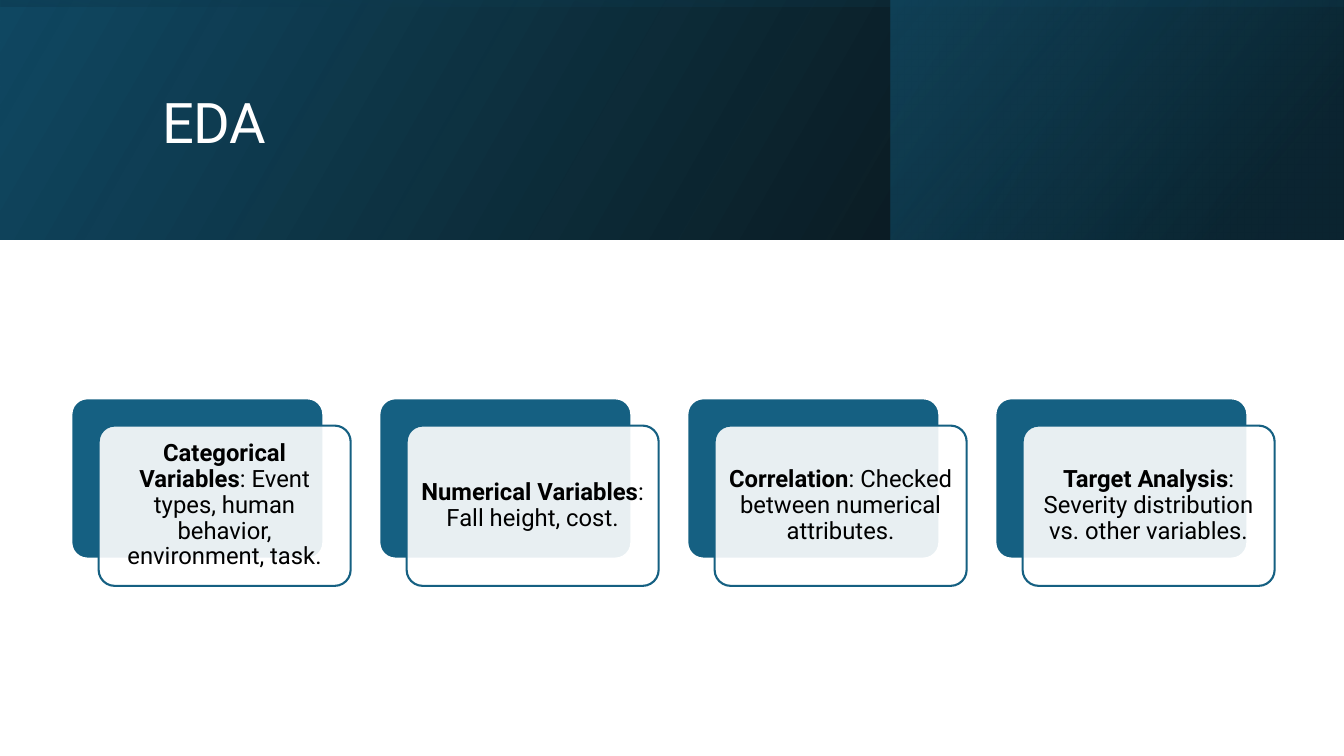
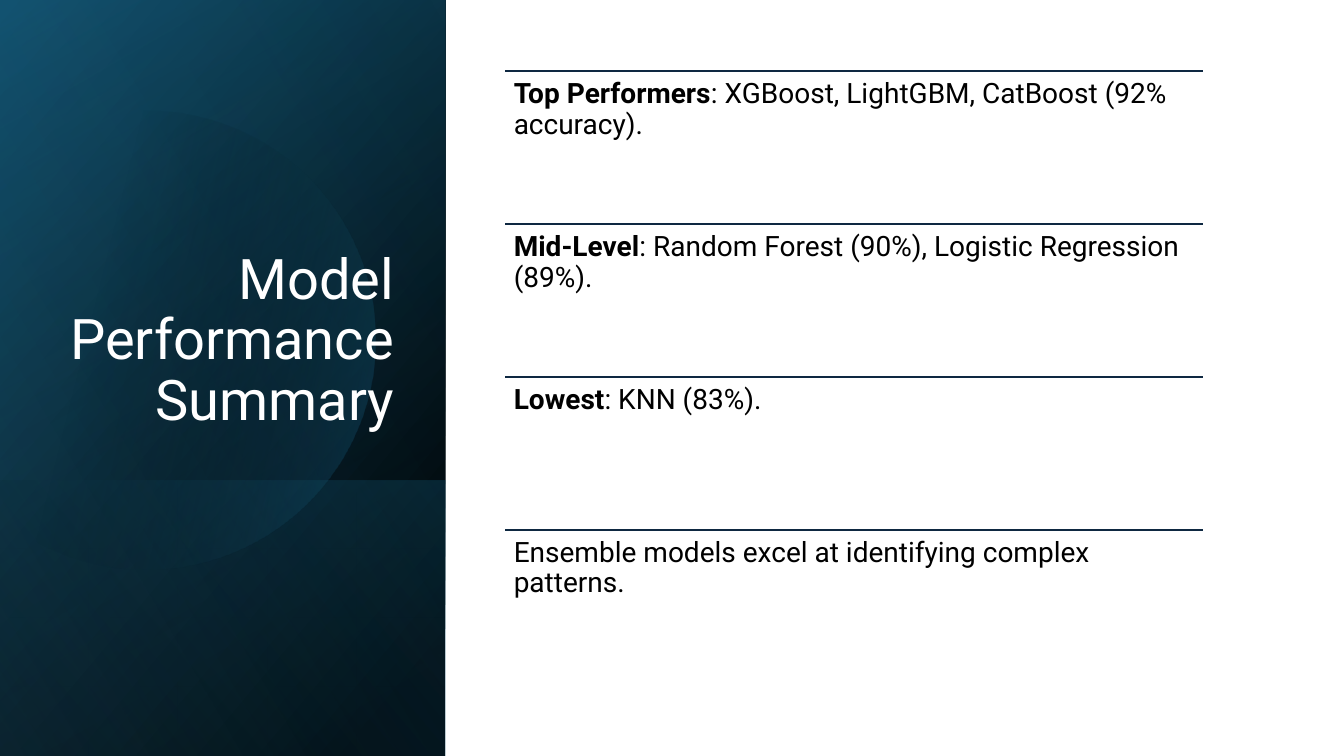
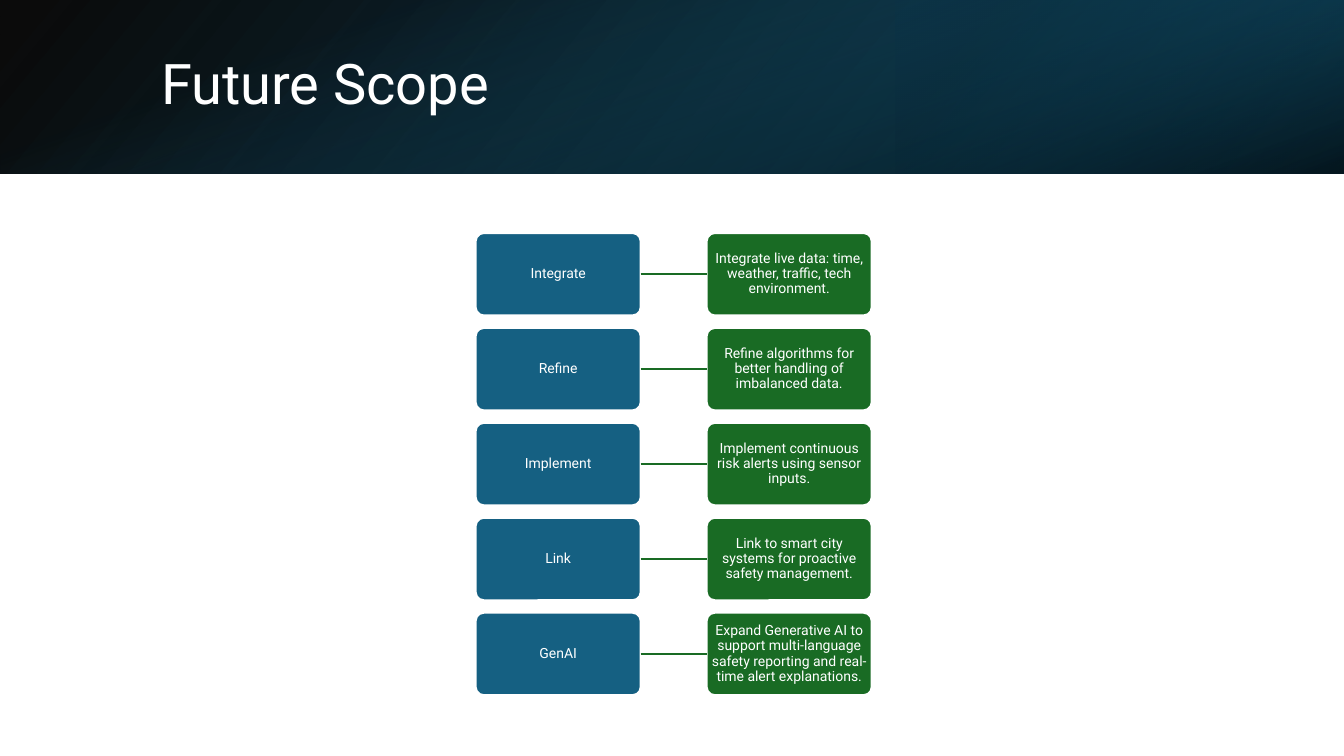
import math

from lxml import etree
from pptx import Presentation
from pptx.dml.color import RGBColor
from pptx.enum.shapes import MSO_CONNECTOR, MSO_SHAPE
from pptx.enum.text import MSO_ANCHOR, PP_ALIGN
from pptx.oxml import parse_xml
from pptx.oxml.ns import nsdecls, qn
from pptx.util import Pt

RECTANGLE = MSO_SHAPE.RECTANGLE
ROUNDED = MSO_SHAPE.ROUNDED_RECTANGLE
STRAIGHT = MSO_CONNECTOR.STRAIGHT
TOP, MIDDLE, BOTTOM = MSO_ANCHOR.TOP, MSO_ANCHOR.MIDDLE, MSO_ANCHOR.BOTTOM
LEFT, CENTER, RIGHT = PP_ALIGN.LEFT, PP_ALIGN.CENTER, PP_ALIGN.RIGHT

WIDTH, HEIGHT = 960, 540
FONT = "Roboto"
COLORS = {
    "black": "000000",
    "white": "FFFFFF",
    "blue": "156082",
    "deep": "104862",
    "dark": "0B3041",
    "sky": "46B1E1",
    "navy": "0E2841",
    "green": "196B24",
}


class Deck:
    """Holds the shared style and the slide being built."""

    def __init__(self):
        self.presentation = Presentation()
        self.presentation.slide_width = Pt(WIDTH)
        self.presentation.slide_height = Pt(HEIGHT)
        self.slide = None

    def color(self, name):
        return RGBColor.from_string(COLORS[name])

    def new_slide(self):
        layout = self.presentation.slide_layouts[6]
        self.slide = self.presentation.slides.add_slide(layout)

    def gradient(self, shape, stops, angle):
        shape.shadow.inherit = False
        shape.line.fill.background()
        shape.fill.gradient()
        stop_xml = "".join(
            f'<a:gs pos="{position * 1000}"><a:srgbClr val="{COLORS[name]}">'
            f'<a:alpha val="{opacity * 1000}"/></a:srgbClr></a:gs>'
            for position, name, opacity in stops
        )
        fill = parse_xml(
            f'<a:gradFill {nsdecls("a")} rotWithShape="1"><a:gsLst>{stop_xml}</a:gsLst>'
            f'<a:lin ang="{angle * 60000}" scaled="0"/></a:gradFill>'
        )
        properties = shape._element.spPr
        properties.replace(properties.find(qn("a:gradFill")), fill)

    def band(self, left, top, width, height, stops, angle, rotation=0, flip=True):
        if rotation % 180:
            left, top = left + (width - height) / 2, top + (height - width) / 2
            width, height = height, width
        shape = self.slide.shapes.add_shape(
            RECTANGLE, Pt(left), Pt(top), Pt(width), Pt(height)
        )
        shape.rotation = rotation
        if flip:
            shape._element.spPr.xfrm.set("flipH", "1")
        self.gradient(shape, stops, angle)

    def cut_disc(self, center_x, center_y, radius, stops, angle):
        limit = math.acos(-center_x / radius)
        steps = 90
        angles = [limit * (2 * step / steps - 1) for step in range(steps + 1)]
        points = [
            (Pt(center_x + radius * math.cos(turn)), Pt(center_y + radius * math.sin(turn)))
            for turn in angles
        ]
        builder = self.slide.shapes.build_freeform(*points[0])
        builder.add_line_segments(points[1:], close=True)
        self.gradient(builder.convert_to_shape(), stops, angle)

    def label(self, shape, lead, rest, size, color, align, anchor, insets):
        frame = shape.text_frame
        frame.word_wrap = True
        frame.vertical_anchor = anchor
        frame.margin_left = frame.margin_right = Pt(insets[0])
        frame.margin_top = frame.margin_bottom = Pt(insets[1])
        paragraph = frame.paragraphs[0]
        paragraph.alignment = align
        paragraph.line_spacing = 0.9
        for text, bold in ((lead, True), (rest, False)):
            if text:
                run = paragraph.add_run()
                run.text = text
                run.font.name = FONT
                run.font.size = Pt(size)
                run.font.bold = bold
                run.font.color.rgb = self.color(color)

    def text(self, left, top, width, height, lead, rest, size, color="black",
             align=LEFT, anchor=TOP, insets=(6, 6)):
        box = self.slide.shapes.add_textbox(Pt(left), Pt(top), Pt(width), Pt(height))
        self.label(box, lead, rest, size, color, align, anchor, insets)

    def title(self, left, top, width, height, text, align=LEFT, anchor=MIDDLE):
        self.text(left, top, width, height, "", text, 40, "white", align, anchor, (7.2, 3.6))

    def box(self, left, top, width, height, fill, line="white", opacity=100):
        shape = self.slide.shapes.add_shape(
            ROUNDED, Pt(left), Pt(top), Pt(width), Pt(height)
        )
        shape.adjustments[0] = 0.1
        shape.shadow.inherit = False
        shape.fill.solid()
        shape.fill.fore_color.rgb = self.color(fill)
        shape.line.color.rgb = self.color(line)
        shape.line.width = Pt(1.5)
        if opacity < 100:
            solid = shape._element.spPr.find(qn("a:solidFill"))
            alpha = etree.SubElement(solid[0], qn("a:alpha"))
            alpha.set("val", str(opacity * 1000))
        return shape

    def line(self, start, end, color):
        connector = self.slide.shapes.add_connector(
            STRAIGHT, Pt(start[0]), Pt(start[1]), Pt(end[0]), Pt(end[1])
        )
        connector.line.color.rgb = self.color(color)
        connector.line.width = Pt(1.5)
        etree.SubElement(connector._element.spPr, qn("a:effectLst"))
        return connector


def build_eda(deck):
    band_height = 171
    deck.new_slide()
    deck.band(0, 0, WIDTH, band_height, [(0, "black", 96), (100, "deep", 100)], 330)
    deck.band(636.5, 0, 323, band_height, [(19, "dark", 68), (100, "blue", 48)], 320)
    deck.band(0, 0, WIDTH, band_height, [(23, "deep", 16), (99, "black", 45)], 350, 270)
    deck.title(108.7, 27.4, 765, 124, "EDA")
    cards = [
        ("Categorical Variables", ": Event types, human behavior, environment, task."),
        ("Numerical Variables", ": Fall height, cost."),
        ("Correlation", ": Checked between numerical attributes."),
        ("Target Analysis", ": Severity distribution vs. other variables."),
    ]
    top, width, height, offset = 284.5, 180, 114.5, 19.5
    for index, (lead, rest) in enumerate(cards):
        left = 51 + 220 * index
        deck.box(left, top, width, height, "blue")
        card = deck.box(left + offset, top + offset, width, height, "white", "blue", 90)
        deck.label(card, lead, rest, 17, "black", CENTER, MIDDLE, (5, 5))


def build_summary(deck):
    panel = 318
    deck.new_slide()
    deck.band(0, 0, panel, HEIGHT, [(8, "black", 100), (100, "deep", 100)], 50, 90)
    deck.band(0, 0, panel, HEIGHT, [(0, "black", 0), (99, "blue", 46)], 30, 90)
    deck.band(0, 343, panel, 197, [(2, "blue", 29), (100, "black", 30)], 130, 90)
    deck.cut_disc(104.5, 243, 164, [(29, "black", 0), (100, "blue", 43)], 14)
    deck.band(0, 0, panel, HEIGHT, [(0, "black", 0), (99, "sky", 11)], 120, 90)
    deck.title(36.5, 46, 252, 266.5, "Model Performance Summary", RIGHT, BOTTOM)
    findings = [
        ("Top Performers", ": XGBoost, LightGBM, CatBoost (92% accuracy)."),
        ("Mid-Level", ": Random Forest (90%), Logistic Regression (89%)."),
        ("Lowest", ": KNN (83%)."),
        ("", "Ensemble models excel at identifying complex patterns."),
    ]
    left, width, pitch = 361, 498.5, 109.2
    for index, (lead, rest) in enumerate(findings):
        top = 51 + pitch * index
        deck.line((left, top), (left + width, top), "navy")
        deck.text(left, top, width, pitch, lead, rest, 20)


def build_future(deck):
    band_height = 124
    deck.new_slide()
    deck.band(0, 0, WIDTH, band_height, [(0, "black", 96), (100, "deep", 100)], 140)
    deck.band(640, 0, 320, band_height, [(19, "dark", 68), (100, "blue", 79)], 320, 180)
    deck.band(0, 0, WIDTH, band_height, [(23, "blue", 0), (99, "black", 74)], 340, 90, False)
    deck.title(108, 27.4, 790.5, 69, "Future Scope")
    steps = [
        ("Integrate", "Integrate live data: time, weather, traffic, tech environment."),
        ("Refine", "Refine algorithms for better handling of imbalanced data."),
        ("Implement", "Implement continuous risk alerts using sensor inputs."),
        ("Link", "Link to smart city systems for proactive safety management."),
        ("GenAI", "Expand Generative AI to support multi-language safety reporting "
                  "and real-time alert explanations."),
    ]
    left, width, height, gap = 339.7, 118, 59, 47
    right = left + width + gap
    for index, (name, detail) in enumerate(steps):
        top = 166.4 + 67.8 * index
        middle = top + height / 2
        step = deck.box(left, top, width, height, "blue")
        action = deck.box(right, top, width, height, "green")
        for shape, text in ((step, name), (action, detail)):
            deck.label(shape, "", text, 10, "white", CENTER, MIDDLE, (0.8, 0.8))
        link = deck.line((left + width, middle), (right, middle), "green")
        link.begin_connect(step, 3)
        link.end_connect(action, 1)


def main():
    deck = Deck()
    build_eda(deck)
    build_summary(deck)
    build_future(deck)
    deck.presentation.save("out.pptx")


if __name__ == "__main__":
    main()
